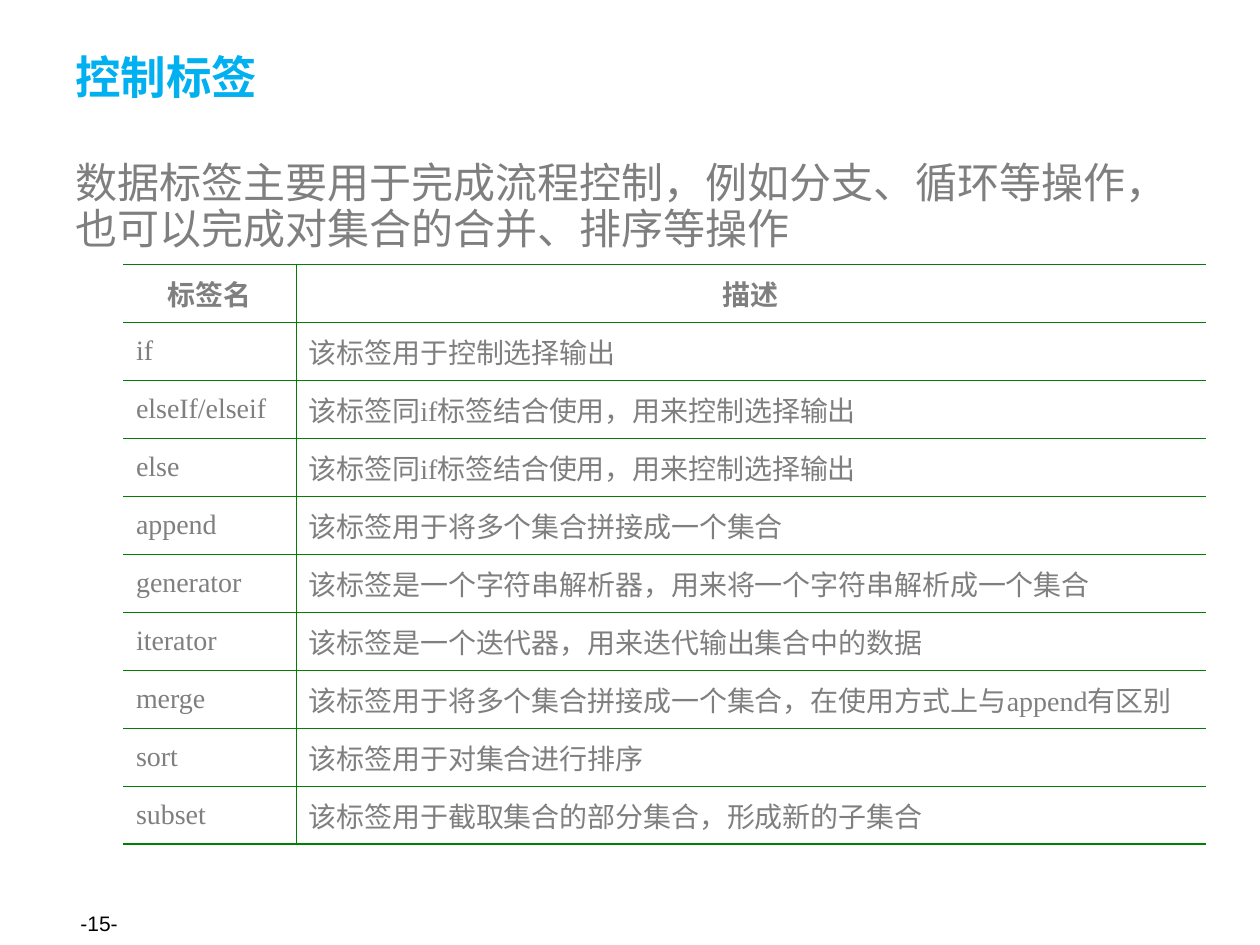
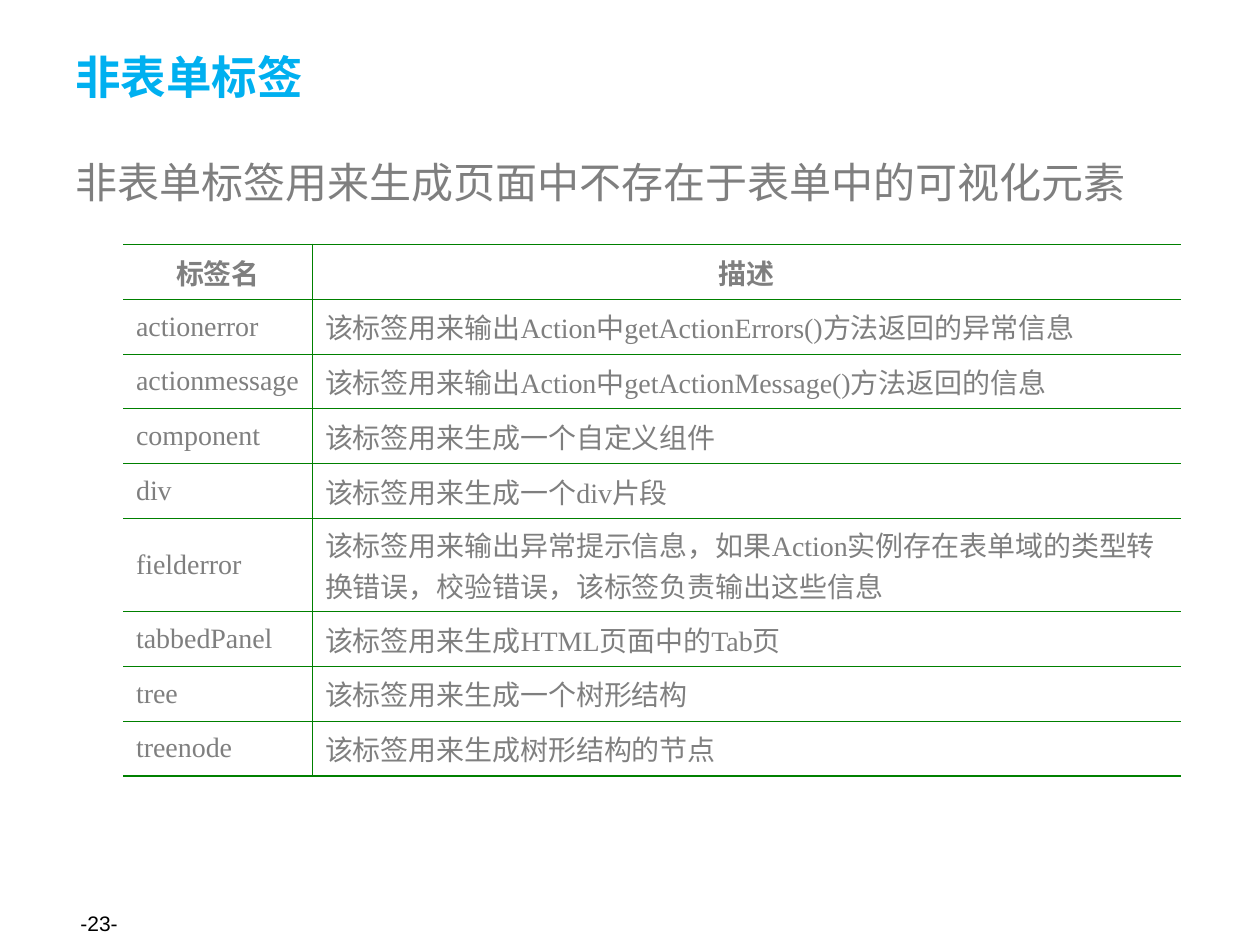
from dataclasses import dataclass

import pptx
import pptx.dml.color
import pptx.enum.text
import pptx.oxml
import pptx.oxml.ns
import pptx.presentation
import pptx.slide
import pptx.table
import pptx.text.text
import pptx.util
from pptx.dml.color import RGBColor
from pptx.util import Inches

# Shared look
TITLE_BLUE = RGBColor(0x00, 0xB0, 0xF0)
TEXT_GRAY = RGBColor(0x7F, 0x7F, 0x7F)
RULE_GREEN = RGBColor(0x00, 0x80, 0x00)
BLACK = RGBColor(0x00, 0x00, 0x00)
CJK_FONT = "Noto Sans CJK SC"
TABLE_FONT = "Times New Roman"
PAGE_FONT = "Arial"
PLAIN_TABLE_STYLE = "{2D5ABB26-0587-4C30-8999-92F81FD0307C}"
THIN, THICK = 0.45, 1.08
TABLE_LEFT = Inches(0.98)
TWO_LINE_ROW = Inches(0.74)
HEADINGS = ("标签名", "描述")


@dataclass(frozen=True)
class TextStyle:
    font: str
    size: float
    color: RGBColor
    bold: bool = False


@dataclass(frozen=True)
class TextArea:
    left: float
    top: float
    width: float
    height: float
    style: TextStyle
    anchor: pptx.enum.text.MSO_ANCHOR
    line_points: float | None = None


@dataclass(frozen=True)
class Tag:
    name: str
    description: str
    two_lines: bool = False


@dataclass(frozen=True)
class TagPage:
    number: int
    title: str
    summary: str
    table_top: float
    table_height: float
    column_widths: tuple[float, float]
    tags: tuple[Tag, ...]


MIDDLE = pptx.enum.text.MSO_ANCHOR.MIDDLE
TOP = pptx.enum.text.MSO_ANCHOR.TOP
PAGE_NUMBER = TextArea(0.54, 7.13, 2.33, 0.4, TextStyle(PAGE_FONT, 12, BLACK), MIDDLE)
TITLE = TextArea(0.5, 0.3, 9, 0.61, TextStyle(CJK_FONT, 26, TITLE_BLUE, True), MIDDLE)
SUMMARY = TextArea(0.5, 1.23, 9.07, 5.67, TextStyle(CJK_FONT, 24, TEXT_GRAY), TOP, 26.3)
HEADING_STYLE = TextStyle(TABLE_FONT, 16, TEXT_GRAY, True)
CELL_STYLE = TextStyle(TABLE_FONT, 16, TEXT_GRAY)

PAGES = (
    TagPage(
        15, "控制标签",
        "数据标签主要用于完成流程控制，例如分支、循环等操作，也可以完成对集合的合并、排序等操作",
        2.1, 4.6, (1.37, 7.22),
        (
            Tag("if", "该标签用于控制选择输出"),
            Tag("elseIf/elseif", "该标签同if标签结合使用，用来控制选择输出"),
            Tag("else", "该标签同if标签结合使用，用来控制选择输出"),
            Tag("append", "该标签用于将多个集合拼接成一个集合"),
            Tag("generator", "该标签是一个字符串解析器，用来将一个字符串解析成一个集合"),
            Tag("iterator", "该标签是一个迭代器，用来迭代输出集合中的数据"),
            Tag("merge", "该标签用于将多个集合拼接成一个集合，在使用方式上与append有区别"),
            Tag("sort", "该标签用于对集合进行排序"),
            Tag("subset", "该标签用于截取集合的部分集合，形成新的子集合"),
        ),
    ),
    TagPage(
        23, "非表单标签",
        "非表单标签用来生成页面中不存在于表单中的可视化元素",
        1.94, 4.22, (1.5, 6.89),
        (
            Tag("actionerror", "该标签用来输出Action中getActionErrors()方法返回的异常信息"),
            Tag("actionmessage", "该标签用来输出Action中getActionMessage()方法返回的信息"),
            Tag("component", "该标签用来生成一个自定义组件"),
            Tag("div", "该标签用来生成一个div片段"),
            Tag("fielderror",
                "该标签用来输出异常提示信息，如果Action实例存在表单域的类型"
                "转换错误，校验错误，该标签负责输出这些信息", two_lines=True),
            Tag("tabbedPanel", "该标签用来生成HTML页面中的Tab页"),
            Tag("tree", "该标签用来生成一个树形结构"),
            Tag("treenode", "该标签用来生成树形结构的节点"),
        ),
    ),
)


def write_run(paragraph: pptx.text.text._Paragraph, text: str, style: TextStyle) -> None:
    run = paragraph.add_run()
    run.text = text
    run.font.name = style.font
    run.font.size = pptx.util.Pt(style.size)
    run.font.bold = style.bold
    run.font.color.rgb = style.color
    # Chinese characters take their own typeface
    east_asian = pptx.oxml.parse_xml(
        f'<a:ea {pptx.oxml.ns.nsdecls("a")} typeface="{CJK_FONT}"/>')
    run.font._element.find(pptx.oxml.ns.qn("a:latin")).addnext(east_asian)


def add_text(slide: pptx.slide.Slide, area: TextArea, text: str) -> None:
    box = slide.shapes.add_textbox(
        Inches(area.left), Inches(area.top), Inches(area.width), Inches(area.height))
    frame = box.text_frame
    frame.word_wrap = True
    frame.vertical_anchor = area.anchor
    paragraph = frame.paragraphs[0]
    if area.line_points:
        paragraph.line_spacing = pptx.util.Pt(area.line_points)
    write_run(paragraph, text, area.style)


def add_border(cell: pptx.table._Cell, side: str, points: float) -> None:
    cell._tc.get_or_add_tcPr().append(pptx.oxml.parse_xml(
        f'<a:ln{side} {pptx.oxml.ns.nsdecls("a")} w="{pptx.util.Pt(points)}">'
        f'<a:solidFill><a:srgbClr val="{RULE_GREEN}"/></a:solidFill></a:ln{side}>'))


def add_tag_table(slide: pptx.slide.Slide, page: TagPage) -> None:
    row_count = len(page.tags) + 1
    table = slide.shapes.add_table(
        row_count, len(HEADINGS), TABLE_LEFT, Inches(page.table_top),
        Inches(sum(page.column_widths)), Inches(page.table_height)).table
    table.first_row = table.horz_banding = False
    table._tbl.tblPr.find(pptx.oxml.ns.qn("a:tableStyleId")).text = PLAIN_TABLE_STYLE
    for column, width in zip(table.columns, page.column_widths):
        column.width = Inches(width)

    # One-line rows share the height left by the two-line rows
    tall_count = sum(tag.two_lines for tag in page.tags)
    one_line_row = (Inches(page.table_height) - tall_count * TWO_LINE_ROW) // (
        row_count - tall_count)

    for row_index, tag in enumerate((Tag(*HEADINGS), *page.tags)):
        is_heading = row_index == 0
        is_last = row_index == row_count - 1
        table.rows[row_index].height = TWO_LINE_ROW if tag.two_lines else one_line_row
        for column_index, text in enumerate((tag.name, tag.description)):
            cell = table.cell(row_index, column_index)
            cell.vertical_anchor = MIDDLE
            # The only vertical rule runs between the two columns
            add_border(cell, "L" if column_index else "R", THIN)
            add_border(cell, "T", THICK if is_heading else THIN)
            add_border(cell, "B", THICK if is_last else THIN)
            cell.fill.background()
            paragraph = cell.text_frame.paragraphs[0]
            if is_heading:
                paragraph.alignment = pptx.enum.text.PP_ALIGN.CENTER
            write_run(paragraph, text, HEADING_STYLE if is_heading else CELL_STYLE)


def add_page(deck: pptx.presentation.Presentation, page: TagPage) -> None:
    slide = deck.slides.add_slide(deck.slide_layouts[6])
    add_text(slide, PAGE_NUMBER, f"-{page.number}-")
    add_text(slide, TITLE, page.title)
    add_text(slide, SUMMARY, page.summary)
    add_tag_table(slide, page)


def main() -> None:
    deck = pptx.Presentation()
    deck.slide_width = Inches(10)
    deck.slide_height = Inches(7.5)
    for page in PAGES:
        add_page(deck, page)
    deck.save("out.pptx")


if __name__ == "__main__":
    main()
